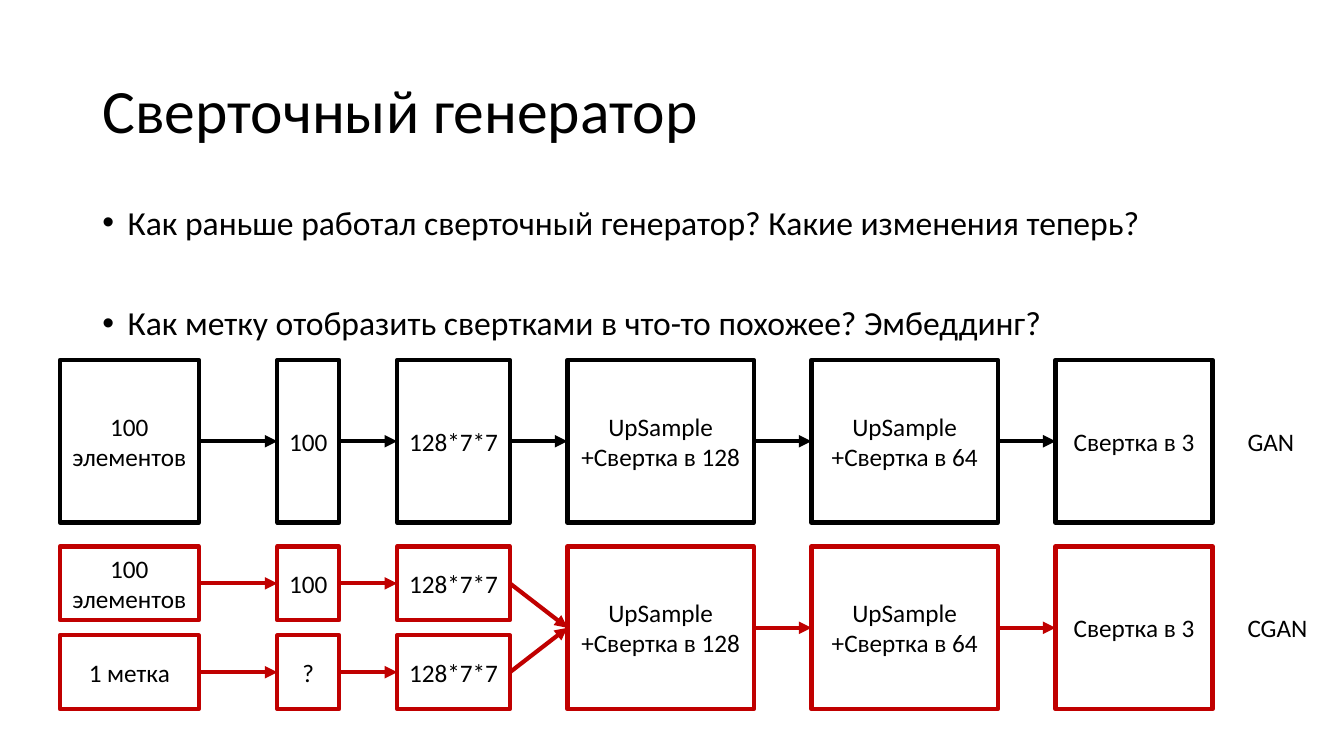
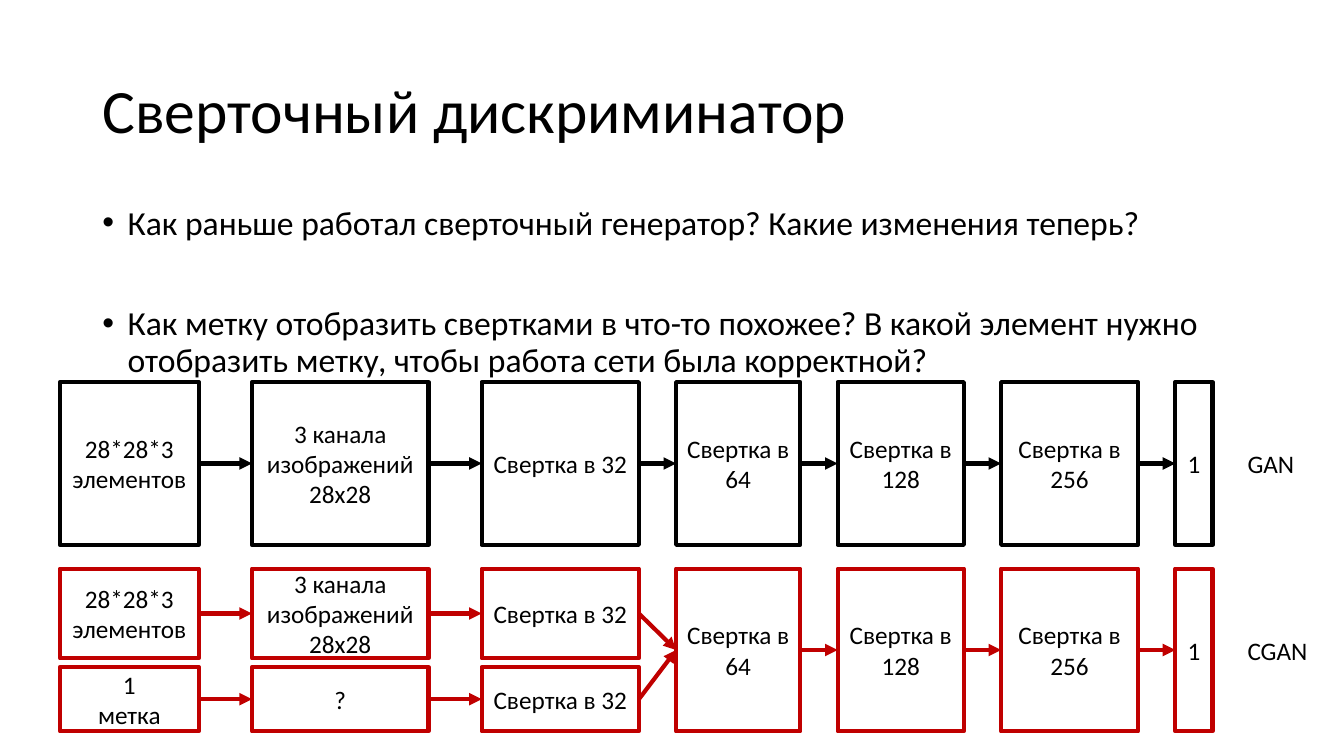
from dataclasses import dataclass

from lxml import etree
from pptx import Presentation
from pptx.dml.color import RGBColor
from pptx.enum.shapes import MSO_CONNECTOR, MSO_SHAPE
from pptx.enum.text import MSO_ANCHOR, PP_ALIGN
from pptx.oxml.ns import qn
from pptx.shapes.autoshape import Shape
from pptx.slide import Slide
from pptx.text.text import TextFrame
from pptx.util import Cm, Pt

# Shared style
BLACK = RGBColor(0x00, 0x00, 0x00)
RED = RGBColor(0xC0, 0x00, 0x00)
FONT = "Calibri"
LINE_WIDTH = Pt(3)
RECTANGLE = MSO_SHAPE.RECTANGLE
STRAIGHT = MSO_CONNECTOR.STRAIGHT
CENTER, LEFT = PP_ALIGN.CENTER, PP_ALIGN.LEFT
MIDDLE, TOP = MSO_ANCHOR.MIDDLE, MSO_ANCHOR.TOP
LEFT_SIDE, RIGHT_SIDE = 1, 3

# Shared layout, in centimetres
TEXT_LEFT, TEXT_WIDTH = 2.33, 29.21
TITLE_TOP, TITLE_HEIGHT = 1.01, 3.68
BODY_TOP = 5.07
DIAGRAM_LEFT = 1.51
ROW_HEIGHT, ROW_STEP = 4.1, 4.7
LABEL_LEFT, LABEL_WIDTH, LABEL_HEIGHT = 31.19, 2.34, 1.03


@dataclass(frozen=True)
class Stage:
    text: str
    width: float
    gap: float = 0  # space before the stage
    label_text: str = ""  # text in the lower lane; empty once the lanes merge


@dataclass(frozen=True)
class Page:
    title: str
    questions: list[str]
    body_height: float
    diagram_top: float
    lane_height: float
    lane_gap: float
    stages: list[Stage]


PAGES = [
    Page(
        "Сверточный генератор",
        ["Как раньше работал сверточный генератор? Какие изменения теперь?",
         "Как метку отобразить свертками в что-то похожее? Эмбеддинг?"],
        3.81, 9.07, 1.86, 0.38,
        [Stage("100\nэлементов", 3.5, 0, "1 метка"),
         Stage("100", 1.56, 1.98, "?"),
         Stage("128*7*7", 2.84, 1.46, "128*7*7"),
         Stage("UpSample\n+Свертка в 128", 4.7, 1.45),
         Stage("UpSample\n+Свертка в 64", 4.7, 1.45),
         Stage("Свертка в 3", 3.96, 1.45)],
    ),
    Page(
        "Сверточный дискриминатор",
        ["Как раньше работал сверточный генератор? Какие изменения теперь?",
         "Как метку отобразить свертками в что-то похожее? В какой элемент "
         "нужно отобразить метку, чтобы работа сети была корректной?"],
        4.98, 9.63, 2.26, 0.22,
        [Stage("28*28*3\nэлементов", 3.5, 0, "1\nметка"),
         Stage("3 канала изображений 28х28", 4.45, 1.34, "?"),
         Stage("Свертка в 32", 3.96, 1.34, "Свертка в 32"),
         Stage("Свертка в 64", 3.13, 0.94),
         Stage("Свертка в 128", 3.18, 0.94),
         Stage("Свертка в 256", 3.45, 0.94),
         Stage("1", 0.94, 0.94)],
    ),
]


def write_text(frame: TextFrame, text: str, size: int,
               align: PP_ALIGN = LEFT, anchor: MSO_ANCHOR = MIDDLE) -> None:
    frame.word_wrap = True
    frame.vertical_anchor = anchor
    frame.text = text
    for para in frame.paragraphs:
        para.alignment = align
        for span in para.runs:
            span.font.name = FONT
            span.font.size = Pt(size)
            span.font.color.rgb = BLACK


def add_text(slide: Slide, left: float, top: float, width: float, height: float,
             text: str, size: int, anchor: MSO_ANCHOR = MIDDLE) -> TextFrame:
    box = slide.shapes.add_textbox(Cm(left), Cm(top), Cm(width), Cm(height))
    write_text(box.text_frame, text, size, anchor=anchor)
    return box.text_frame


def add_heading(slide: Slide, page: Page) -> None:
    title = add_text(slide, TEXT_LEFT, TITLE_TOP, TEXT_WIDTH, TITLE_HEIGHT,
                     page.title, 44)
    title.paragraphs[0].line_spacing = 0.9

    # Bulleted questions
    body = add_text(slide, TEXT_LEFT, BODY_TOP, TEXT_WIDTH, page.body_height,
                    "\n".join(page.questions), 24, TOP)
    for index, para in enumerate(body.paragraphs):
        para.line_spacing = 0.9
        if index:
            para.space_before = Pt(46)
        properties = para._p.get_or_add_pPr()
        properties.set("marL", str(Cm(0.64)))
        properties.set("indent", str(-Cm(0.64)))
        etree.SubElement(properties, qn("a:buFont"), typeface="Arial")
        etree.SubElement(properties, qn("a:buChar"), char="•")


def add_box(slide: Slide, left: float, top: float, width: float, height: float,
            text: str, color: RGBColor) -> Shape:
    box = slide.shapes.add_shape(RECTANGLE, Cm(left), Cm(top), Cm(width), Cm(height))
    box.shadow.inherit = False
    box.fill.background()
    box.line.color.rgb = color
    box.line.width = LINE_WIDTH
    write_text(box.text_frame, text, 18, CENTER)
    return box


def add_arrow(slide: Slide, source: Shape, target: Shape, color: RGBColor) -> None:
    arrow = slide.shapes.add_connector(STRAIGHT, 0, 0, 0, 0)
    arrow.begin_connect(source, RIGHT_SIDE)
    arrow.end_connect(target, LEFT_SIDE)
    arrow.line.color.rgb = color
    arrow.line.width = LINE_WIDTH
    etree.SubElement(arrow.line._get_or_add_ln(), qn("a:tailEnd"), type="triangle")
    etree.SubElement(arrow._element.spPr, qn("a:effectLst"))


def add_row(slide: Slide, page: Page, top: float, name: str,
            color: RGBColor, split: bool) -> None:
    """Draw one network; a split row starts as two lanes that merge."""
    left = DIAGRAM_LEFT
    lower_top = top + page.lane_height + page.lane_gap
    lower_height = top + ROW_HEIGHT - lower_top
    previous: list[Shape] = []
    for stage in page.stages:
        left += stage.gap
        if split and stage.label_text:
            lanes = [(top, page.lane_height, stage.text),
                     (lower_top, lower_height, stage.label_text)]
        else:
            lanes = [(top, ROW_HEIGHT, stage.text)]
        boxes = [add_box(slide, left, lane_top, stage.width, height, text, color)
                 for lane_top, height, text in lanes]
        for index, source in enumerate(previous):
            add_arrow(slide, source, boxes[min(index, len(boxes) - 1)], color)
        previous = boxes
        left += stage.width

    # Network name beside the row
    add_text(slide, LABEL_LEFT, top + (ROW_HEIGHT - LABEL_HEIGHT) / 2,
             LABEL_WIDTH, LABEL_HEIGHT, name, 18)


def main() -> None:
    deck = Presentation()
    deck.slide_width, deck.slide_height = Cm(33.87), Cm(19.05)
    blank = deck.slide_layouts[6]
    for page in PAGES:
        slide = deck.slides.add_slide(blank)
        add_heading(slide, page)
        add_row(slide, page, page.diagram_top, "GAN", BLACK, False)
        add_row(slide, page, page.diagram_top + ROW_STEP, "CGAN", RED, True)
    deck.save("out.pptx")


if __name__ == "__main__":
    main()
